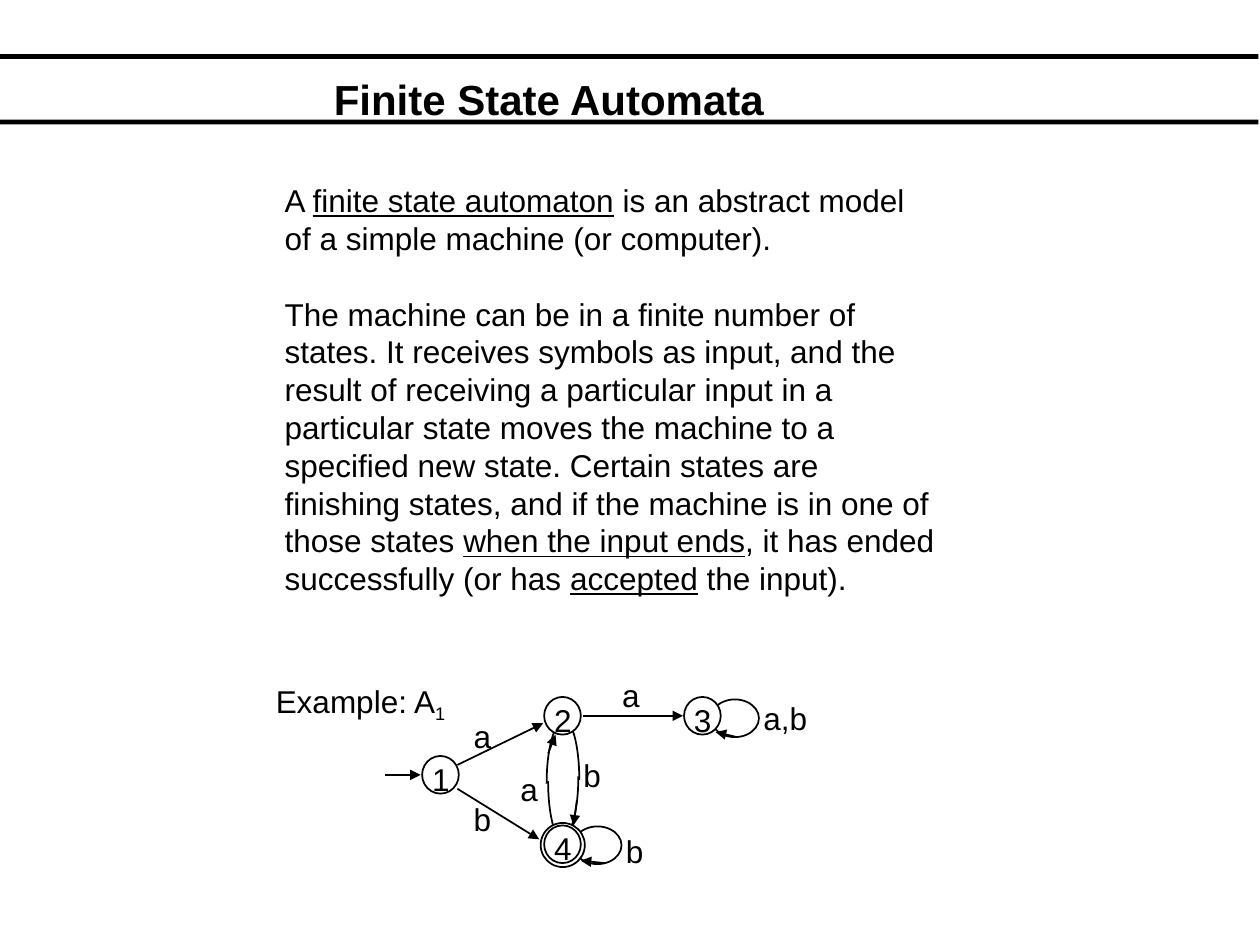
from lxml.etree import SubElement
from pptx import Presentation
from pptx.dml.color import RGBColor
from pptx.enum.shapes import MSO_CONNECTOR, MSO_SHAPE
from pptx.enum.text import MSO_ANCHOR, PP_ALIGN
from pptx.oxml.ns import qn
from pptx.util import Cm, Pt


def paint(code):
    return RGBColor.from_string(code)


class Sketch:
    ink, paper, font, size = "000000", "FFFFFF", "Arial", 18
    lead = 1.2  # line pitch as a share of the text size

    def __init__(self, slide):
        self.slide = slide
        self.shapes = slide.shapes

    def form(self, kind, x, y, w, h, fill=None, line=True):
        shape = self.shapes.add_shape(kind, Cm(x), Cm(y), Cm(w), Cm(h))
        shape.shadow.inherit = False
        if fill:
            shape.fill.solid()
            shape.fill.fore_color.rgb = paint(fill)
        else:
            shape.fill.background()
        if line:
            shape.line.color.rgb = paint(self.ink)
            shape.line.width = Pt(1)
        else:
            shape.line.fill.background()
        return shape

    def bar(self, y):
        self.form(MSO_SHAPE.RECTANGLE, 0, y, 25.37, 0.1, self.ink, False)

    def oval(self, x, y, w, h):
        self.form(MSO_SHAPE.OVAL, x, y, w, h, self.paper)

    def arc(self, x, y, start):
        """Quarter ellipse around (x, y), clockwise from start degrees."""
        wide, high = 0.33, 1.24
        shape = self.form(MSO_SHAPE.ARC, x - wide, y - high, 2 * wide, 2 * high)
        for i, angle in enumerate((start, (start + 90) % 360)):
            shape.adjustments[i] = angle * 0.6

    def arrow(self, x1, y1, x2, y2):
        line = self.shapes.add_connector(
            MSO_CONNECTOR.STRAIGHT, Cm(x1), Cm(y1), Cm(x2), Cm(y2))
        line.line.color.rgb = paint(self.ink)
        line.line.width = Pt(1)
        SubElement(line.line._get_or_add_ln(), qn("a:tailEnd"), type="triangle")
        SubElement(line._element.spPr, qn("a:effectLst"))

    def text(self, x, y, w, h, paras, size=None, bold=False, mid=False):
        """Each paragraph is a list of (text, mark); mark is "", "u" or "sub"."""
        size = size or self.size
        box = self.shapes.add_textbox(Cm(x), Cm(y), Cm(w), Cm(h))
        frame = box.text_frame
        frame.word_wrap = True
        frame.vertical_anchor = MSO_ANCHOR.MIDDLE if mid else MSO_ANCHOR.TOP
        for i, runs in enumerate(paras):
            para = frame.paragraphs[0] if i == 0 else frame.add_paragraph()
            para.alignment = PP_ALIGN.CENTER if mid else PP_ALIGN.LEFT
            para.line_spacing = Pt(size * self.lead)
            for words, mark in runs:
                run = para.add_run()
                run.text = words
                run.font.name = self.font
                run.font.size = Pt(size)
                run.font.bold = bold
                run.font.color.rgb = paint(self.ink)
                if mark == "u":
                    run.font.underline = True
                elif mark == "sub":
                    run.font._element.set("baseline", "-25000")
        return frame

    def label(self, x, y, words, w=0.86):
        self.text(x, y, w, 1.02, [[(words, "")]])


def main():
    deck = Presentation()
    deck.slide_width, deck.slide_height = Cm(25.4), Cm(19.05)
    art = Sketch(deck.slides.add_slide(deck.slide_layouts[6]))

    # Title between two rules
    for y in (2.41, 1.09):
        art.bar(y)
    art.text(4.5, 1.12, 13.13, 1.75, [[("Finite State Automata", "")]],
             size=24, bold=True, mid=True)

    # Definition
    body = art.text(5.49, 3.53, 13.8, 8.64, [
        [("A ", ""), ("finite state automaton", "u"),
         (" is an abstract model", "")],
        [("of a simple machine (or computer).", "")],
        [("The machine can be in a finite number of", "")],
        [("states. It receives symbols as input, and the", "")],
        [("result of receiving a particular input in a", "")],
        [("particular state moves the machine to a", "")],
        [("specified new state. Certain states are", "")],
        [("finishing states, and if the machine is in one of", "")],
        [("those states ", ""), ("when the input ends", "u"),
         (", it has ended", "")],
        [("successfully (or has ", ""), ("accepted", "u"),
         (" the input).", "")],
    ])
    body.paragraphs[2].space_before = Pt(art.size * art.lead)

    art.text(5.31, 13.72, 4.1, 1.12, [[("Example: A", ""), ("1", "sub")]])

    # Loops and bent edges, behind the states
    for x, y in ((11.56, 16.66), (14.33, 14.1)):
        art.oval(x, y, 0.97, 0.76)
    for x, y, start in ((11.38, 15.75, 90), (11.35, 15.8, 180),
                        (11.33, 15.65, 0), (11.35, 15.72, 270)):
        art.arc(x, y, start)

    # States, the last one with a double ring
    art.oval(10.9, 16.59, 0.89, 0.89)
    states = ((8.51, 15.24), (10.97, 14.05), (13.79, 14.05), (10.97, 16.64))
    for x, y in states:
        art.oval(x, y, 0.74, 0.76)

    # Arrows
    for ends in ((7.77, 15.62, 8.48, 15.62), (9.22, 15.42, 10.95, 14.58),
                 (9.22, 15.9, 10.87, 16.92), (11.76, 14.43, 13.77, 14.43),
                 (11.05, 15.19, 11.2, 14.81), (11.63, 16.13, 11.56, 16.64),
                 (12.19, 17.4, 11.71, 17.35), (14.86, 14.86, 14.43, 14.76)):
        art.arrow(*ends)

    # State numbers and edge symbols
    for num, (x, y) in enumerate(states, 1):
        art.label(x - 0.05, y - 0.05, str(num))
    for x, y, words in ((9.3, 14.33, "a"), (9.3, 16, "b"), (11.51, 15.11, "b"),
                        (12.37, 16.64, "b"), (10.24, 15.39, "a"),
                        (12.29, 13.51, "a")):
        art.label(x, y, words)
    art.label(15.14, 13.97, "a,b", 1.42)

    deck.save("out.pptx")


if __name__ == "__main__":
    main()
